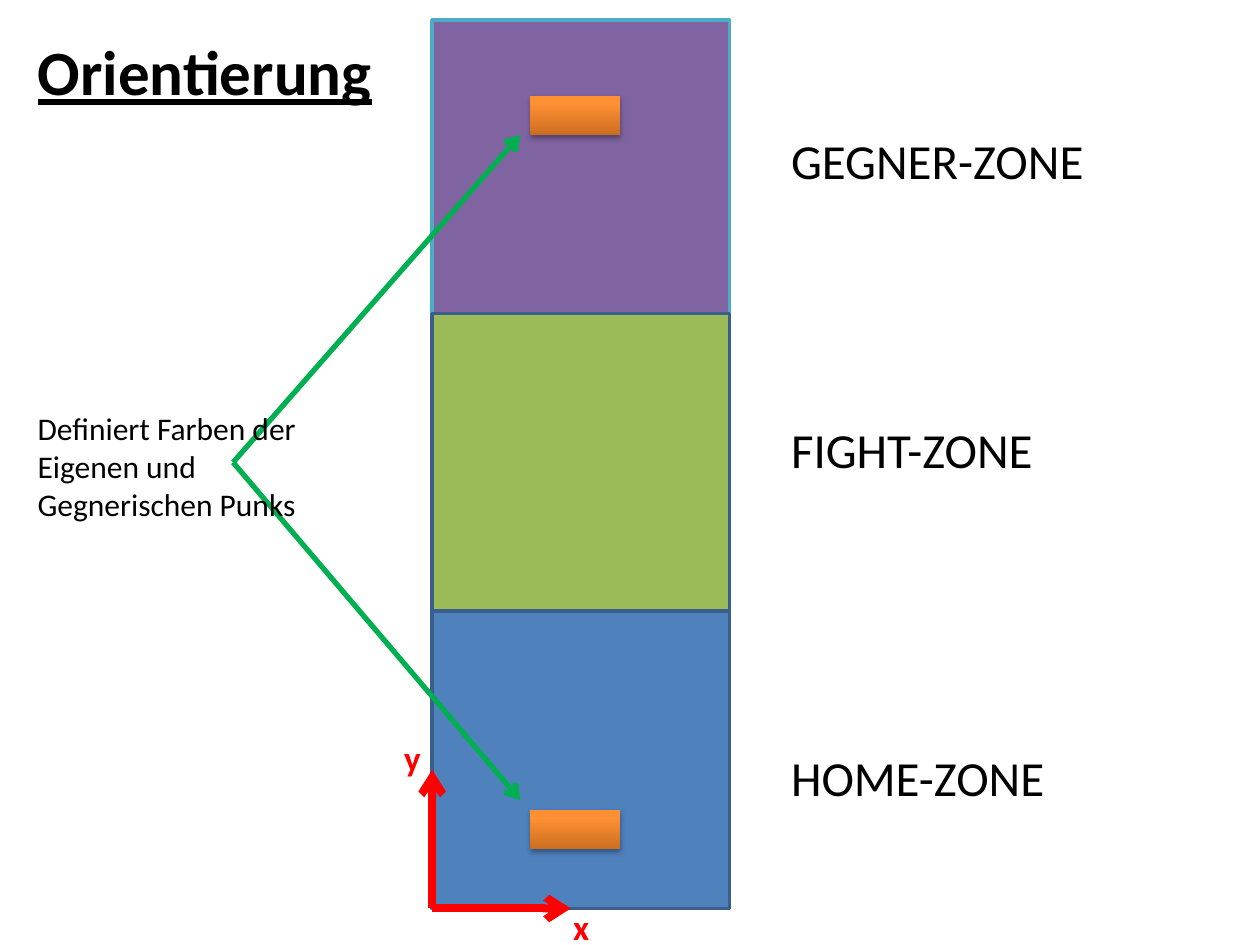
from copy import deepcopy

from lxml import etree
from pptx import Presentation
from pptx.dml.color import RGBColor
from pptx.enum import shapes, text
from pptx.oxml import ns
from pptx.util import Inches, Pt

COLORS = {
    "enemy": "8064A2", "enemy_line": "4BACC6", "fight": "9BBB59",
    "home": "4F81BD", "zone_line": "3A5F8C", "axis": "FF0000",
    "pointer": "00B050", "text": "000000", "shadow": "000000",
    "punk_dark": "CC6E20", "punk_mid": "FF9034", "punk_light": "FF9136",
}
FONT = "Calibri"
ZONE_LEFT, ZONE_SIZE = 3.43, 2.36
ORIGIN = (ZONE_LEFT, 7.21)
AXIS_LENGTH = 1.1
POINTER_START = (1.85, 3.67)


def rgb(name):
    return RGBColor.from_string(COLORS[name])


def add_rect(s, x, y, w, h):
    sp = s.shapes.add_shape(shapes.MSO_SHAPE.RECTANGLE,
                            Inches(x), Inches(y), Inches(w), Inches(h))
    sp.shadow.inherit = False
    return sp


def add_zone(s, y, fill, line):
    sp = add_rect(s, ZONE_LEFT, y, ZONE_SIZE, ZONE_SIZE)
    sp.fill.solid()
    sp.fill.fore_color.rgb = rgb(fill)
    sp.line.color.rgb = rgb(line)
    sp.line.width = Pt(2)


def add_punk(s, y):
    sp = add_rect(s, 4.21, y, 0.71, 0.31)
    sp.line.fill.background()
    sp.fill.gradient()
    sp.fill.gradient_angle = 90
    stop_list = sp._element.spPr.find(ns.qn("a:gradFill")).find(ns.qn("a:gsLst"))
    stop_list.append(deepcopy(stop_list[-1]))
    stops = [(0, "punk_dark"), (0.8, "punk_mid"), (1, "punk_light")]
    for stop, (position, color) in zip(sp.fill.gradient_stops, stops):
        stop.position = position
        stop.color.rgb = rgb(color)
    effects = sp._element.spPr.find(ns.qn("a:effectLst"))
    shadow = etree.SubElement(effects, ns.qn("a:outerShdw"), blurRad=str(Pt(3.1)),
                              dist=str(Pt(1.8)), dir="5400000", rotWithShape="0")
    color = etree.SubElement(shadow, ns.qn("a:srgbClr"), val=COLORS["shadow"])
    etree.SubElement(color, ns.qn("a:alpha"), val="35000")


def add_arrow(s, start, end, color, width):
    points = [Inches(v) for v in (*start, *end)]
    cx = s.shapes.add_connector(shapes.MSO_CONNECTOR.STRAIGHT, *points)
    cx.line.color.rgb = rgb(color)
    cx.line.width = Pt(width)
    etree.SubElement(cx.line._get_or_add_ln(), ns.qn("a:tailEnd"), type="arrow")
    etree.SubElement(cx._element.spPr, ns.qn("a:effectLst"))


def write_text(sp, content, size, color="text", bold=False, underline=False):
    tf = sp.text_frame
    tf.word_wrap = True
    tf.auto_size = text.MSO_AUTO_SIZE.SHAPE_TO_FIT_TEXT
    tf.vertical_anchor = text.MSO_ANCHOR.TOP
    p = tf.paragraphs[0]
    p.alignment = text.PP_ALIGN.LEFT
    r = p.add_run()
    r.text = content
    r.font.name = FONT
    r.font.size = Pt(size)
    r.font.bold = bold
    r.font.underline = underline
    r.font.color.rgb = rgb(color)


def add_label(s, x, y, w, h, content, size, **style):
    sp = s.shapes.add_textbox(Inches(x), Inches(y), Inches(w), Inches(h))
    write_text(sp, content, size, **style)


def add_title(s, content):
    sp = s.shapes.title
    sp.left, sp.top = Inches(0.2), Inches(0.21)
    sp.width, sp.height = Inches(2.99), Inches(0.71)
    write_text(sp, content, 36, bold=True, underline=True)


def main():
    prs = Presentation()
    prs.slide_width, prs.slide_height = Inches(10), Inches(7.5)
    s = prs.slides.add_slide(prs.slide_layouts.get_by_name("Title Only"))
    add_title(s, "Orientierung")

    add_zone(s, 0.16, "enemy", "enemy_line")
    add_zone(s, ORIGIN[1] - ZONE_SIZE, "home", "zone_line")
    add_zone(s, ORIGIN[1] - 2 * ZONE_SIZE, "fight", "zone_line")

    x, y = ORIGIN
    for end in ((x, y - AXIS_LENGTH), (x + AXIS_LENGTH, y)):
        add_arrow(s, ORIGIN, end, "axis", 4.5)
    for name, left, top in (("x", 4.45, 7.14), ("y", 3.11, 5.8)):
        add_label(s, left, top, 0.47, 0.44, name, 20, color="axis", bold=True)

    for name, top in (("HOME-ZONE", 5.88), ("FIGHT-ZONE", 3.28), ("GEGNER-ZONE", 0.99)):
        add_label(s, 6.18, top, 3.43, 0.57, name, 28)

    for punk_top, arrow_end in ((0.76, 1.07), (6.43, 6.35)):
        add_punk(s, punk_top)
        add_arrow(s, POINTER_START, (4.13, arrow_end), "pointer", 3)
    add_label(s, 0.2, 3.2, 2.68, 1.01,
              "Definiert Farben der Eigenen und Gegnerischen Punks", 18)

    prs.save("out.pptx")


if __name__ == "__main__":
    main()
